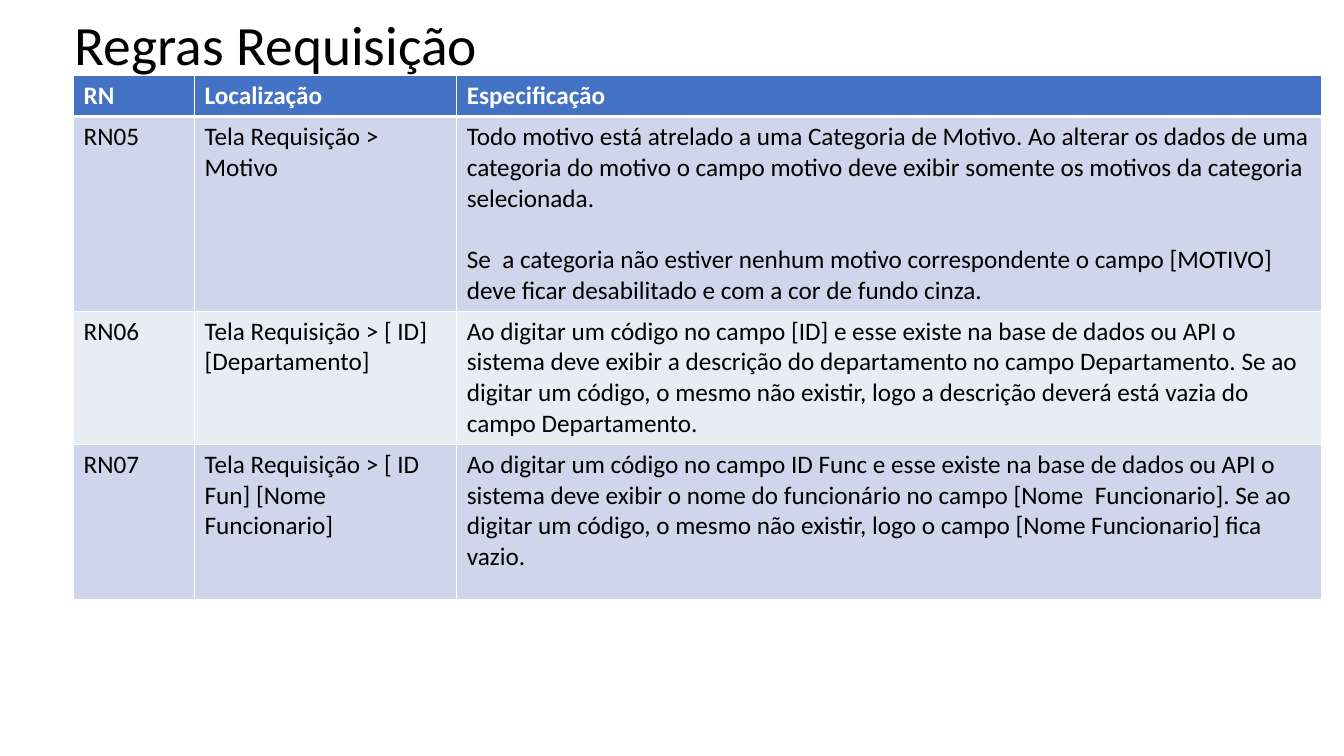
import dataclasses

import lxml.etree
import pptx
import pptx.dml.color
import pptx.enum.text
import pptx.oxml.ns
import pptx.util

COLORS = {
    "header": "4472C4",
    "odd_row": "CFD5EA",
    "even_row": "E9EBF5",
    "white": "FFFFFF",
    "black": "000000",
}
FONT = "Calibri"
TEXT_SIZE = 18
COLUMN_WIDTHS = (1.2, 2.6, 8.58)


@dataclasses.dataclass
class RuleRow:
    height: float
    code: str
    location: str
    specification: str


HEADER = RuleRow(0.4, "RN", "Localização", "Especificação")
RULES = [
    RuleRow(
        1.83,
        "RN05",
        "Tela Requisição > Motivo",
        "Todo motivo está atrelado a uma Categoria de Motivo. Ao alterar os dados de uma "
        "categoria do motivo o campo motivo deve exibir somente os motivos da categoria "
        "selecionada.\n"
        "Se  a categoria não estiver nenhum motivo correspondente o campo [MOTIVO] "
        "deve ficar desabilitado e com a cor de fundo cinza.",
    ),
    RuleRow(
        1.25,
        "RN06",
        "Tela Requisição > [ ID] [Departamento]",
        "Ao digitar um código no campo [ID] e esse existe na base de dados ou API o "
        "sistema deve exibir a descrição do departamento no campo Departamento. Se ao "
        "digitar um código, o mesmo não existir, logo a descrição deverá está vazia do "
        "campo Departamento.",
    ),
    RuleRow(
        1.54,
        "RN07",
        "Tela Requisição > [ ID Fun] [Nome Funcionario]",
        "Ao digitar um código no campo ID Func e esse existe na base de dados ou API o "
        "sistema deve exibir o nome do funcionário no campo [Nome  Funcionario]. Se ao "
        "digitar um código, o mesmo não existir, logo o campo [Nome Funcionario] fica "
        "vazio.",
    ),
]


def rgb(name: str) -> pptx.dml.color.RGBColor:
    return pptx.dml.color.RGBColor.from_string(COLORS[name])


def format_text(frame, size: float, color: str, bold: bool = False) -> None:
    for para in frame.paragraphs:
        for span in para.runs:
            span.font.name = FONT
            span.font.size = pptx.util.Pt(size)
            span.font.bold = bold
            span.font.color.rgb = rgb(color)


def add_borders(cell, top: float, bottom: float) -> None:
    qualified = pptx.oxml.ns.qn
    properties = cell._tc.get_or_add_tcPr()
    for side, width in (("L", 1), ("R", 1), ("T", top), ("B", bottom)):
        line = lxml.etree.SubElement(properties, qualified(f"a:ln{side}"), w=str(pptx.util.Pt(width)))
        fill = lxml.etree.SubElement(line, qualified("a:solidFill"))
        lxml.etree.SubElement(fill, qualified("a:srgbClr"), val=COLORS["white"])


def add_title(page, text: str) -> None:
    title = page.shapes.title
    title.left, title.top = pptx.util.Inches(0.64), pptx.util.Inches(0.19)
    title.width, title.height = pptx.util.Inches(11.5), pptx.util.Inches(0.56)
    frame = title.text_frame
    frame.text = text
    frame.word_wrap = True
    frame.auto_size = pptx.enum.text.MSO_AUTO_SIZE.NONE
    frame.vertical_anchor = pptx.enum.text.MSO_ANCHOR.MIDDLE
    frame.paragraphs[0].alignment = pptx.enum.text.PP_ALIGN.LEFT
    frame.paragraphs[0].line_spacing = 0.9
    format_text(frame, 39.6, "black")


def add_rules_table(page, rows: list[RuleRow]) -> None:
    table = page.shapes.add_table(
        len(rows),
        len(COLUMN_WIDTHS),
        pptx.util.Inches(0.73),
        pptx.util.Inches(0.75),
        pptx.util.Inches(sum(COLUMN_WIDTHS)),
        pptx.util.Inches(sum(row.height for row in rows)),
    ).table
    for column, width in zip(table.columns, COLUMN_WIDTHS):
        column.width = pptx.util.Inches(width)

    for index, row in enumerate(rows):
        table.rows[index].height = pptx.util.Inches(row.height)
        is_header = index == 0
        fill = "header" if is_header else "odd_row" if index % 2 else "even_row"
        for column, text in enumerate((row.code, row.location, row.specification)):
            cell = table.cell(index, column)
            cell.text_frame.text = text
            format_text(cell.text_frame, TEXT_SIZE, "white" if is_header else "black", is_header)
            # Later paragraphs start one line lower
            for para in cell.text_frame.paragraphs[1:]:
                para.space_before = pptx.util.Pt(22)
            # A thick rule parts the header from the body
            add_borders(cell, top=3 if index == 1 else 1, bottom=3 if is_header else 1)
            cell.fill.solid()
            cell.fill.fore_color.rgb = rgb(fill)


def main() -> None:
    deck = pptx.Presentation()
    deck.slide_width = pptx.util.Inches(13.33)
    deck.slide_height = pptx.util.Inches(7.5)
    page = deck.slides.add_slide(deck.slide_layouts.get_by_name("Title Only"))

    # Title and rules
    add_title(page, "Regras Requisição")
    add_rules_table(page, [HEADER, *RULES])

    deck.save("out.pptx")


if __name__ == "__main__":
    main()
